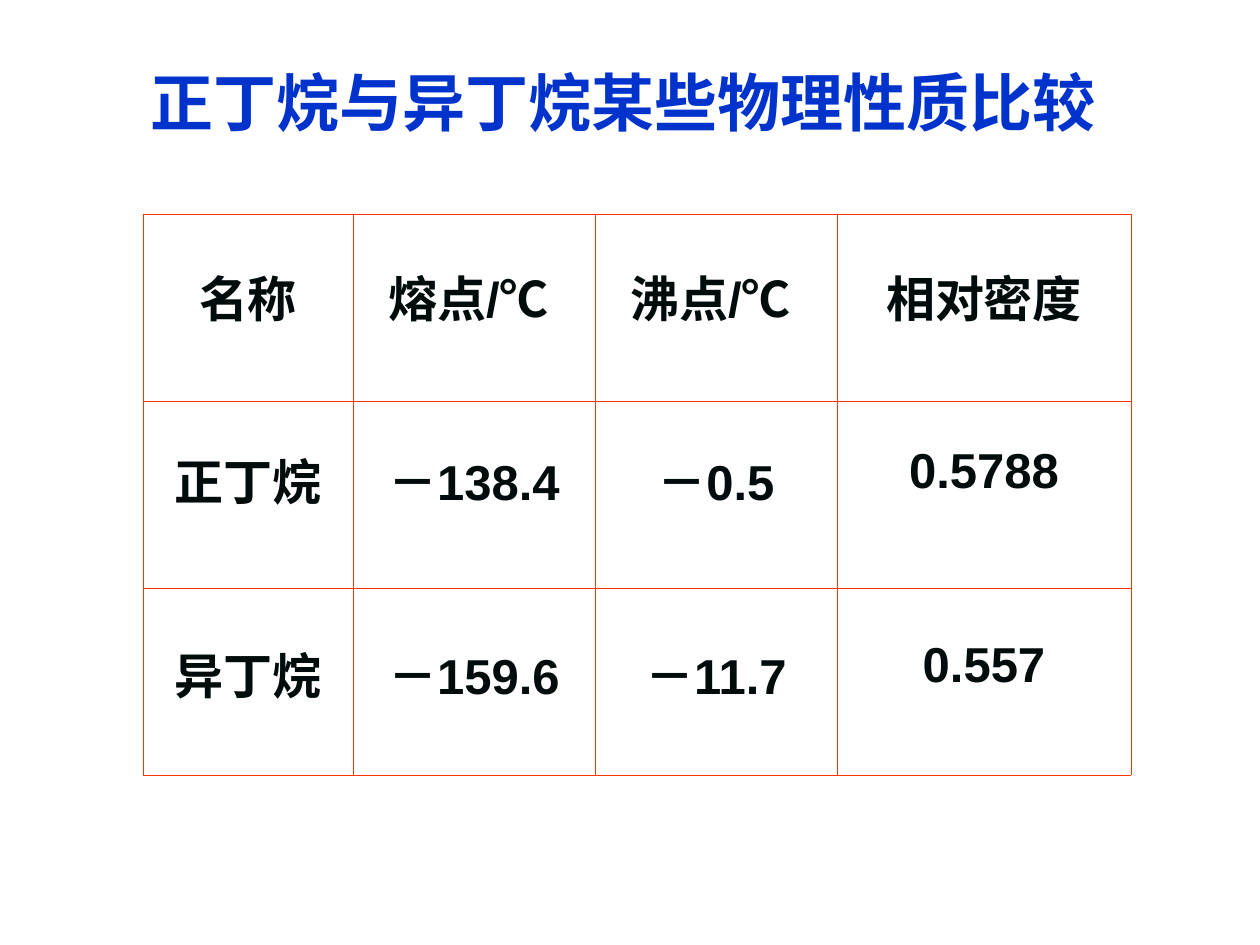
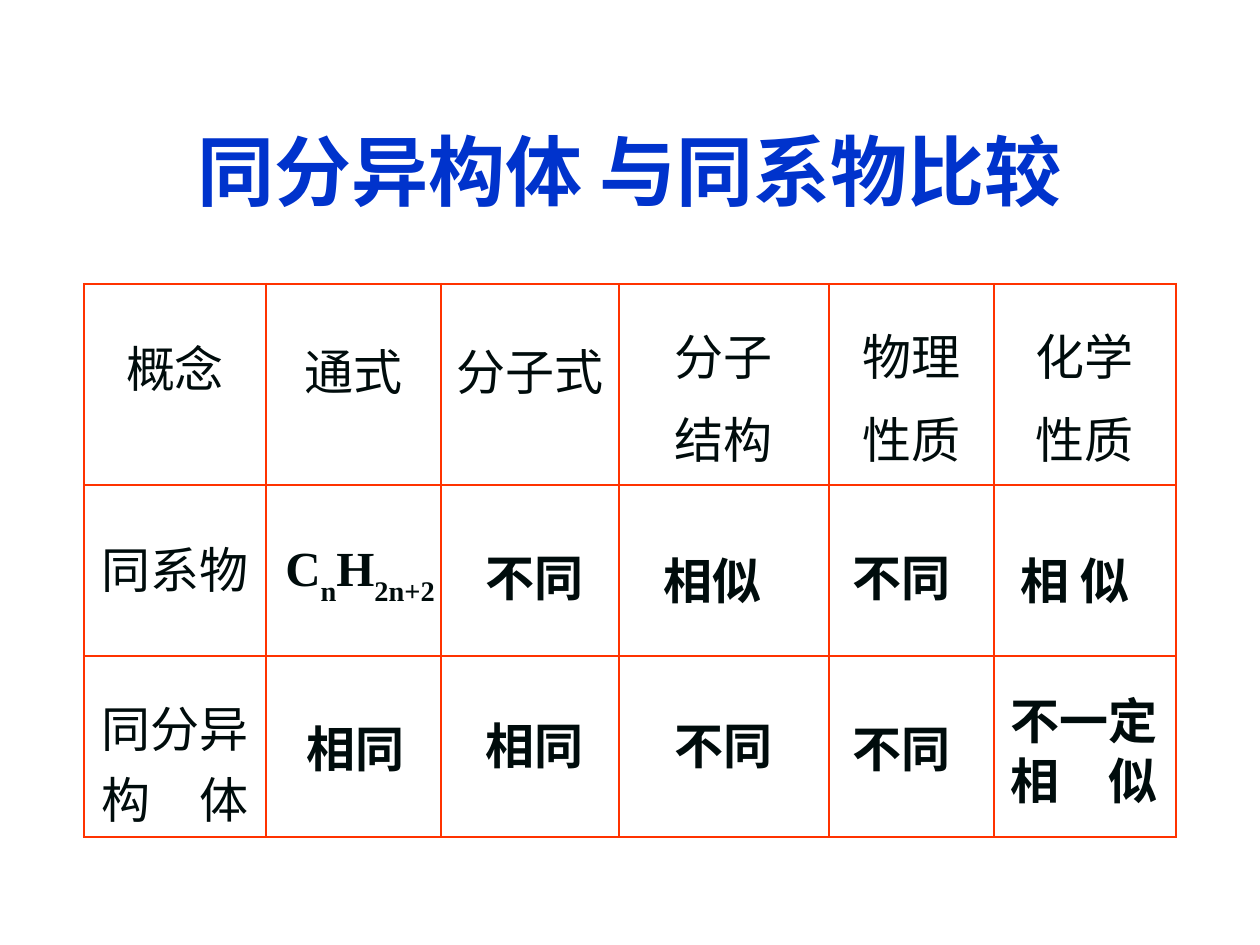
from lxml.etree import SubElement
from pptx import Presentation
from pptx.dml.color import RGBColor
from pptx.enum.text import MSO_ANCHOR, PP_ALIGN
from pptx.oxml.ns import qn
from pptx.util import Emu, Pt

PX = 914400 / 126
COLORS = {"title": "0033CC", "text": "000C0C", "border": "FF3300"}
CJK = "Noto Sans CJK SC"
SERIF = "Times New Roman"
SANS = "Arial"


def write(frame, paragraphs, size, font, color, bold, align):
    frame.word_wrap = True
    for index, spans in enumerate(paragraphs):
        para = frame.add_paragraph() if index else frame.paragraphs[0]
        para.alignment = align
        if index:
            para.space_before = Pt(7)
        para.font.size = Pt(size)
        para.font.bold = bold
        para.font.name = font
        para.font.color.rgb = RGBColor.from_string(COLORS[color])
        properties = para._p.get_or_add_pPr().find(qn("a:defRPr"))
        SubElement(properties, qn("a:ea"), typeface=CJK)
        for text in spans:
            if text == "\v":
                para.add_line_break()
            else:
                span = para.add_run()
                span.text = text
                if "℃" in text:
                    span.font.name = CJK


def draw_table(page, left, top, widths, heights, line_width, bold, rows):
    frame = page.shapes.add_table(
        len(heights), len(widths), Emu(int(left * PX)), Emu(int(top * PX)),
        Emu(int(sum(widths) * PX)), Emu(int(sum(heights) * PX)))
    table = frame.table
    table.first_row = table.horz_banding = False
    for column, width in zip(table.columns, widths):
        column.width = Emu(int(width * PX))
    for row, height in zip(table.rows, heights):
        row.height = Emu(int(height * PX))
    for cell in table.iter_cells():
        properties = cell._tc.get_or_add_tcPr()
        for side in ("a:lnL", "a:lnR", "a:lnT", "a:lnB"):
            line = SubElement(properties, qn(side), w=str(Pt(line_width)))
            fill = SubElement(line, qn("a:solidFill"))
            SubElement(fill, qn("a:srgbClr"), val=COLORS["border"])
        cell.fill.background()
    for row_index, contents in enumerate(rows):
        for column_index, (margin, paragraphs) in enumerate(contents):
            cell = table.cell(row_index, column_index)
            cell.margin_top = Emu(int(margin * PX))
            write(cell.text_frame, paragraphs, 28, SANS, "text", bold, PP_ALIGN.CENTER)


deck = Presentation()
deck.slide_width = Emu(int(1260 * PX))
deck.slide_height = Emu(int(945 * PX))
blank = deck.slide_layouts[6]

titles = [
    ("正丁烷与异丁烷某些物理性质比较", 25, 57, 1197, 88, 36, SERIF, MSO_ANCHOR.TOP),
    ("同分异构体 与同系物比较", 42, 91, 1176, 158, 44, SANS, MSO_ANCHOR.MIDDLE),
]
for text, left, top, width, height, size, font, anchor in titles:
    page = deck.slides.add_slide(blank)
    box = page.shapes.add_textbox(*(Emu(int(n * PX)) for n in (left, top, width, height)))
    box.text_frame.vertical_anchor = anchor
    write(box.text_frame, [[text]], size, font, "title", True, PP_ALIGN.CENTER)
properties_page, comparison_page = deck.slides

property_rows = [
    (47, [["名称"], ["熔点/", "℃ "], ["沸点/", "℃ "], ["相对密度"]]),
    (43, [["正丁烷"], ["－138.4"], ["－0.5"], ["0.5788"]]),
    (50, [["异丁烷"], ["－159.6"], ["－11.7"], ["0.557"]]),
]
draw_table(properties_page, 143, 214, [210, 242, 242, 294], [187] * 3, 0.45, True,
           [[(margin, [spans]) for spans in cells] for margin, cells in property_rows])

draw_table(comparison_page, 84, 284, [182, 175, 178, 210, 165, 182], [201, 171, 181], 1.47, False, [
    [(47, [["概念"]]), (50, [["通式"]]), (50, [["分子式"]]),
     (35, [["分子"], ["结构"]]), (35, [["物理"], ["性质"]]), (35, [["化学"], ["性质"]])],
    [(47, [["同系物"]])],
    [(35, [["同分异", "\v", "构　体"]])],
])

answers = [
    (273, 541, 189, 82, ["C", "n", "H", "2n+2"]),
    (473, 541, 168, 72, ["不同"]),
    (651, 544, 147, 72, ["相似"]),
    (840, 541, 168, 72, ["不同"]),
    (1008, 544, 168, 72, ["相 似"]),
    (294, 712, 158, 72, ["相同"]),
    (473, 709, 189, 72, ["相同"]),
    (662, 709, 179, 72, ["不同"]),
    (840, 712, 179, 72, ["不同"]),
    (998, 684, 179, 131, ["不一定", "\v", "相　似"]),
]
for left, top, width, height, spans in answers:
    box = comparison_page.shapes.add_textbox(*(Emu(int(n * PX)) for n in (left, top, width, height)))
    write(box.text_frame, [spans], 28, SERIF, "text", True, PP_ALIGN.LEFT)
    para = box.text_frame.paragraphs[0]
    para.line_spacing = Pt(34)
    if spans[0] == "C":
        for subscript in para.runs[1::2]:
            subscript.font._element.set("baseline", "-30000")

deck.save("out.pptx")
